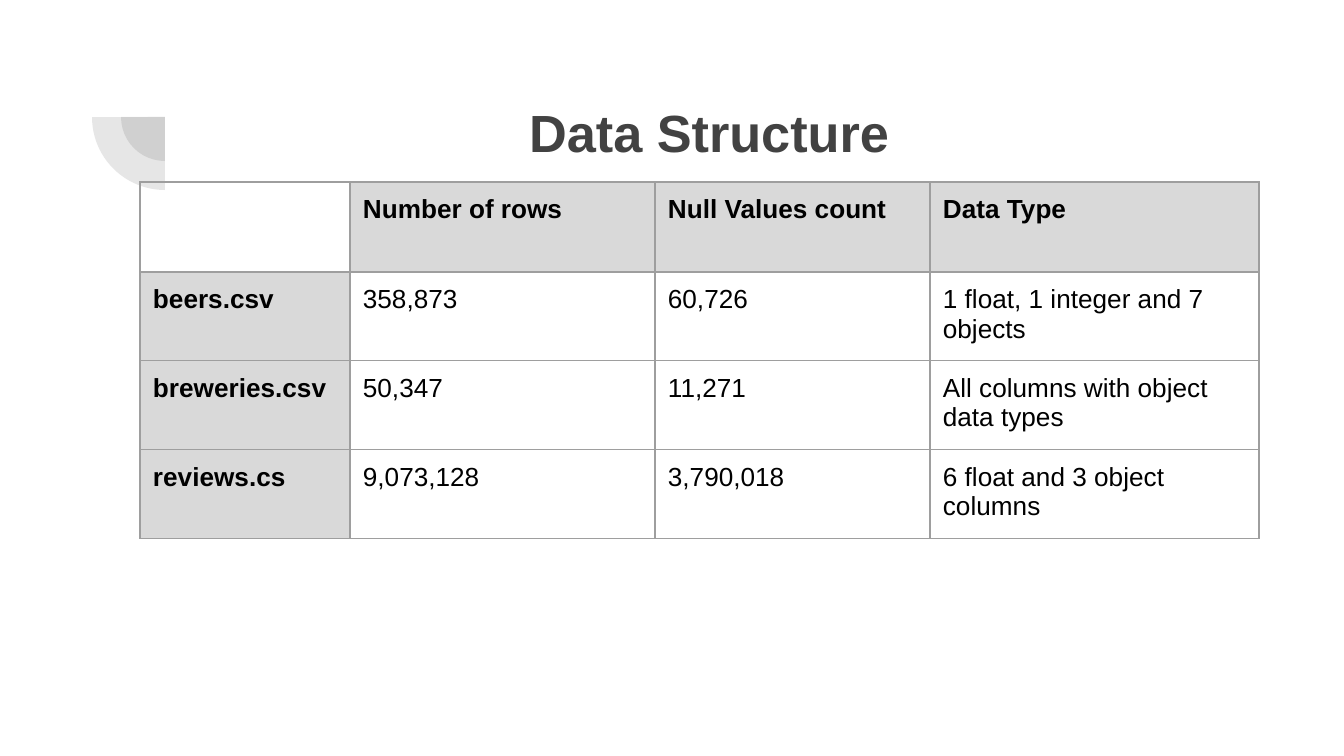
from lxml import etree
from pptx import Presentation
from pptx.dml.color import RGBColor
from pptx.enum.shapes import MSO_SHAPE
from pptx.enum.text import MSO_ANCHOR, PP_ALIGN
from pptx.oxml.ns import qn
from pptx.util import Emu, Pt

PIE = MSO_SHAPE.PIE
TOP = MSO_ANCHOR.TOP
CENTER = PP_ALIGN.CENTER

PX = 9144000 / 1344
INSET = 13
FONT = "Arial"
DARK = "424242"
BLACK = "000000"
HEADER_GREY = "D9D9D9"
BORDER_GREY = "9E9E9E"


def px(value):
    return Emu(round(value * PX))


def add_run(frame, text, size, color, bold):
    run = frame.paragraphs[0].add_run()
    run.text = text
    run.font.name = FONT
    run.font.size = Pt(size)
    run.font.bold = bold
    run.font.color.rgb = RGBColor.from_string(color)


prs = Presentation()
prs.slide_width, prs.slide_height = px(1344), px(756)
slide = prs.slides.add_slide(prs.slide_layouts[6])

# Two translucent quarter circles around one centre
center_x, center_y = 165, 117
for radius in (44, 73):
    quarter = slide.shapes.add_shape(
        PIE, px(center_x - radius), px(center_y - radius), px(2 * radius), px(2 * radius))
    quarter.adjustments[0] = 54  # 90 degrees
    quarter.adjustments[1] = 108  # 180 degrees
    quarter.shadow.inherit = False
    quarter.line.fill.background()
    quarter.fill.solid()
    quarter.fill.fore_color.rgb = RGBColor.from_string(DARK)
    color = quarter.fill._xPr.find(qn("a:solidFill"))[0]
    etree.SubElement(color, qn("a:alpha"), val="13000")

title = slide.shapes.add_textbox(px(192), px(87), px(1034), px(146)).text_frame
title.word_wrap = True
title.vertical_anchor = TOP
title.margin_left = title.margin_right = px(INSET)
title.margin_top = title.margin_bottom = px(INSET)
title.paragraphs[0].alignment = CENTER
add_run(title, "Data Structure", 28, DARK, True)

rows = [
    ["", "Number of rows", "Null Values count", "Data Type"],
    ["beers.csv", "358,873", "60,726", "1 float, 1 integer and 7 objects"],
    ["breweries.csv", "50,347", "11,271", "All columns with object data types"],
    ["reviews.cs", "9,073,128", "3,790,018", "6 float and 3 object columns"],
]
column_widths = [210, 305, 275, 329]
row_heights = [90, 86, 86, 85]

table = slide.shapes.add_table(
    len(rows), len(column_widths), px(140), px(182),
    px(sum(column_widths)), px(sum(row_heights))).table
table.first_row = False
table.horz_banding = False
for column, width in zip(table.columns, column_widths):
    column.width = px(width)
for row, height in zip(table.rows, row_heights):
    row.height = px(height)

for r, values in enumerate(rows):
    for c, value in enumerate(values):
        cell = table.cell(r, c)
        cell.margin_left = cell.margin_right = px(INSET)
        cell.margin_top = cell.margin_bottom = px(INSET)
        cell.vertical_anchor = TOP
        properties = cell._tc.get_or_add_tcPr()
        for side in ("a:lnL", "a:lnR", "a:lnT", "a:lnB"):
            border = etree.SubElement(properties, qn(side), w=str(Pt(0.75)))
            fill = etree.SubElement(border, qn("a:solidFill"))
            etree.SubElement(fill, qn("a:srgbClr"), val=BORDER_GREY)
        is_header = r == 0 or c == 0
        if is_header and value:
            cell.fill.solid()
            cell.fill.fore_color.rgb = RGBColor.from_string(HEADER_GREY)
        else:
            cell.fill.background()
        if value:
            add_run(cell.text_frame, value, 14, BLACK, is_header)

prs.save("out.pptx")
